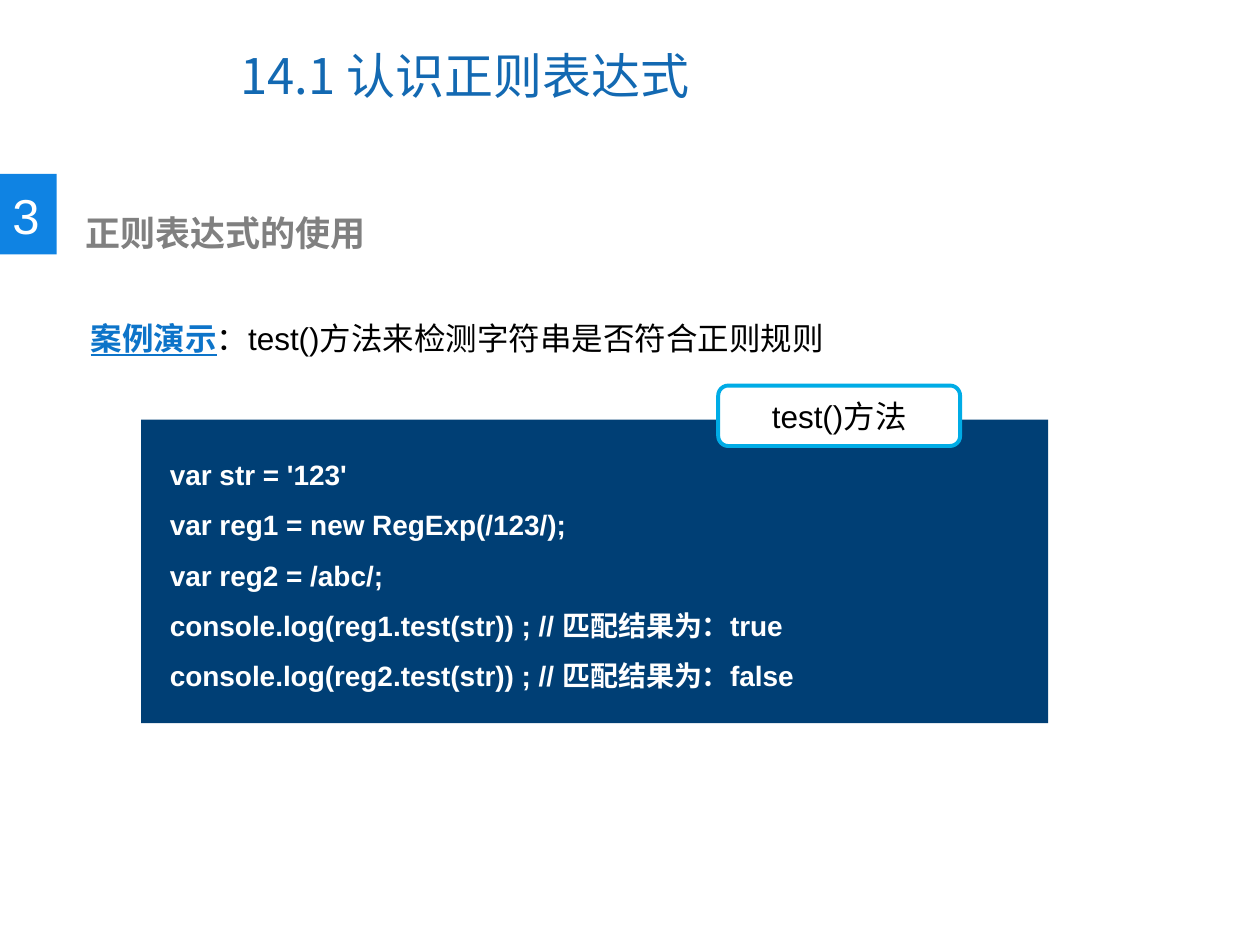
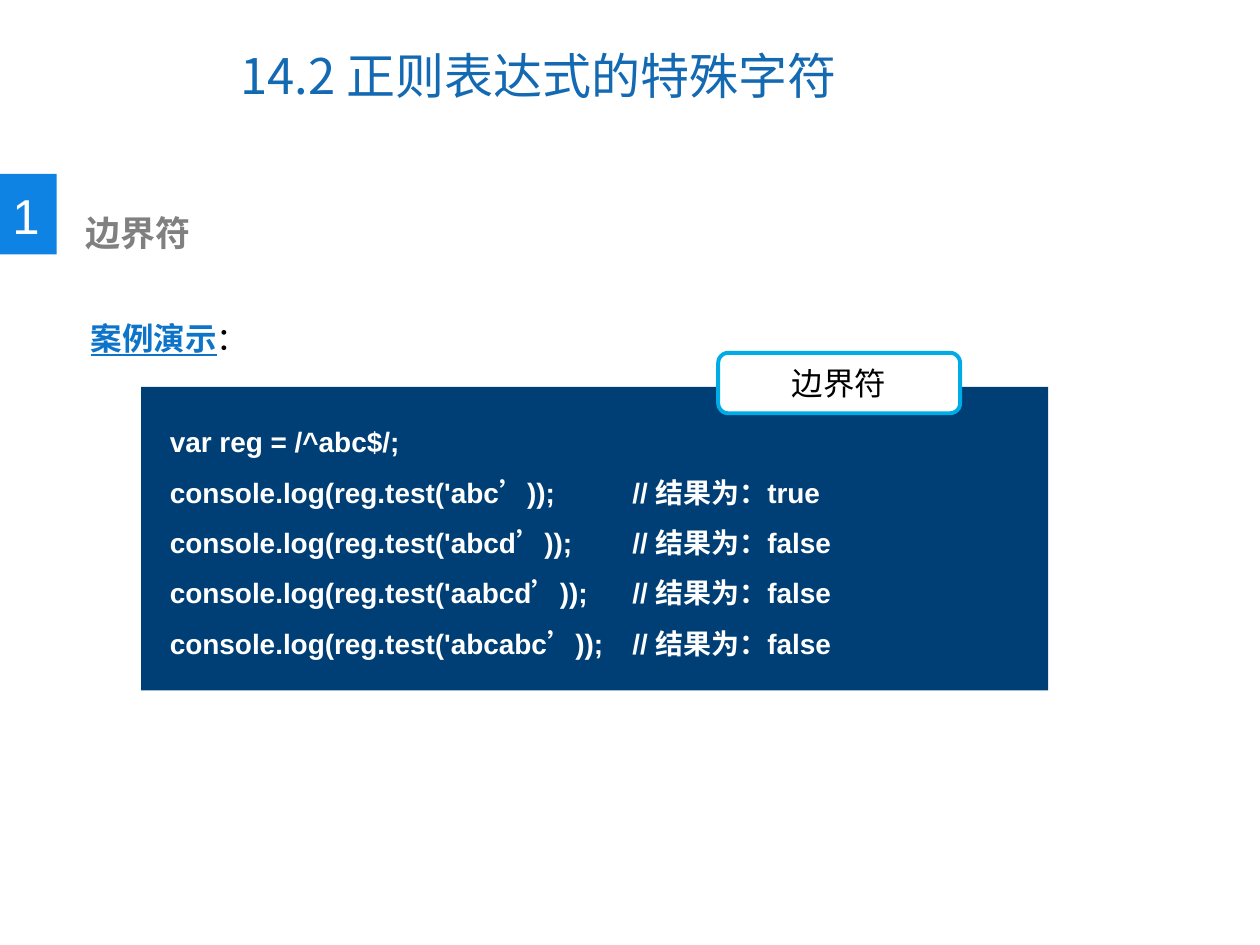
from dataclasses import dataclass

from lxml.etree import SubElement
from pptx import Presentation
from pptx.dml.color import RGBColor
from pptx.enum.shapes import MSO_SHAPE
from pptx.enum.text import MSO_ANCHOR, MSO_AUTO_SIZE, PP_ALIGN
from pptx.oxml.ns import qn
from pptx.util import Inches, Pt

COLOURS = {
    "title": "1369B2",
    "badge": "0F83E3",
    "heading": "808080",
    "link": "0D74C9",
    "panel": "003F75",
    "label_line": "00ACE6",
    "white": "FFFFFF",
    "black": "000000",
}
LATIN_FONT = "Arial"
CHINESE_FONT = "Noto Sans CJK SC"
COMMENT_TAB = 3.67


@dataclass(frozen=True)
class Box:
    left: float
    top: float
    width: float
    height: float

    def lengths(self) -> tuple:
        return tuple(Inches(v) for v in (self.left, self.top, self.width, self.height))


@dataclass(frozen=True)
class Span:
    text: str
    size: int
    colour: str
    bold: bool = False
    underline: bool = False
    font: str = LATIN_FONT


@dataclass(frozen=True)
class Lesson:
    chapter: str
    title: str
    number: str
    heading: str
    caption: str
    label: str
    panel_top: float
    code: tuple


LESSONS = (
    Lesson(
        "14.1 ", "认识正则表达式", "3", "正则表达式的使用",
        "：test()方法来检测字符串是否符合正则规则", "test()方法", 3.33,
        (
            "var str = '123'",
            "var reg1 = new RegExp(/123/);",
            "var reg2 = /abc/;",
            "console.log(reg1.test(str)) ; // 匹配结果为：true",
            "console.log(reg2.test(str)) ; // 匹配结果为：false",
        ),
    ),
    Lesson(
        "14.2 ", "正则表达式的特殊字符", "1", "边界符", "：", "边界符", 3.07,
        (
            "var reg = /^abc$/;",
            "console.log(reg.test('abc’));\t// 结果为：true",
            "console.log(reg.test('abcd’));\t// 结果为：false",
            "console.log(reg.test('aabcd’));\t// 结果为：false",
            "console.log(reg.test('abcabc’));\t// 结果为：false",
        ),
    ),
)


def colour_of(name: str) -> RGBColor:
    return RGBColor.from_string(COLOURS[name])


def add_spans(para, *spans: Span) -> None:
    for span in spans:
        run = para.add_run()
        run.text = span.text
        font = run.font
        font.name = span.font
        font.size = Pt(span.size)
        font.bold = span.bold
        font.underline = span.underline
        font.color.rgb = colour_of(span.colour)
        # Chinese characters take their own typeface
        properties = run._r.get_or_add_rPr()
        properties.set("lang", "zh-CN")
        SubElement(properties, qn("a:ea")).set("typeface", CHINESE_FONT)


def add_text(shapes, box: Box, lines: list, spacing: float = 1.0, wrap: bool = True):
    """Add a text box with one paragraph for each list of spans."""
    frame = shapes.add_textbox(*box.lengths()).text_frame
    frame.word_wrap = wrap
    for index, spans in enumerate(lines):
        para = frame.add_paragraph() if index else frame.paragraphs[0]
        para.line_spacing = spacing
        add_spans(para, *spans)
    return frame


def add_block(shapes, box: Box, fill: str, kind=MSO_SHAPE.RECTANGLE):
    block = shapes.add_shape(kind, *box.lengths())
    block.shadow.inherit = False
    block.fill.solid()
    block.fill.fore_color.rgb = colour_of(fill)
    block.line.fill.background()
    return block


def add_title(page, lesson: Lesson) -> None:
    title = page.shapes.title
    title.left, title.top, title.width, title.height = Box(1.81, 0.17, 5.16, 0.85).lengths()
    frame = title.text_frame
    frame.auto_size = MSO_AUTO_SIZE.NONE
    frame.vertical_anchor = MSO_ANCHOR.MIDDLE
    para = frame.paragraphs[0]
    para.alignment = PP_ALIGN.LEFT
    add_spans(
        para,
        Span(lesson.chapter, 28, "title", font=CHINESE_FONT),
        Span(lesson.title, 28, "title"),
    )


def add_heading(page, lesson: Lesson) -> None:
    badge = page.shapes.add_group_shape().shapes
    add_block(badge, Box(0, 1.38, 0.45, 0.64), "badge")
    add_text(badge, Box(0, 1.42, 0.42, 0.57), [[Span(lesson.number, 28, "white")]], wrap=False)
    heading = Span(lesson.heading, 20, "heading", bold=True)
    add_text(page.shapes, Box(0.58, 1.63, 5.03, 0.44), [[heading]])


def add_code(page, lesson: Lesson) -> None:
    top = lesson.panel_top
    panel = page.shapes.add_group_shape().shapes
    add_block(panel, Box(1.12, top, 7.2, 2.41), "panel")
    lines = [[Span(line, 16, "white", bold=True)] for line in lesson.code]
    frame = add_text(panel, Box(1.25, top + 0.12, 7.07, 2.07), lines, spacing=1.5)
    # Comments after a tab share one column
    for para in frame.paragraphs:
        tab_list = SubElement(para._p.get_or_add_pPr(), qn("a:tabLst"))
        tab = SubElement(tab_list, qn("a:tab"))
        tab.set("pos", str(Inches(COMMENT_TAB)))
        tab.set("algn", "l")


def add_label(page, lesson: Lesson) -> None:
    box = Box(5.7, lesson.panel_top - 0.27, 1.92, 0.48)
    label = add_block(page.shapes, box, "white", MSO_SHAPE.ROUNDED_RECTANGLE)
    label.line.color.rgb = colour_of("label_line")
    label.line.width = Pt(2.25)
    para = label.text_frame.paragraphs[0]
    para.alignment = PP_ALIGN.CENTER
    add_spans(para, Span(lesson.label, 18, "black"))


def add_lesson(deck, lesson: Lesson) -> None:
    page = deck.slides.add_slide(deck.slide_layouts[5])
    add_title(page, lesson)
    add_heading(page, lesson)
    caption = [
        Span("案例演示", 18, "link", bold=True, underline=True),
        Span(lesson.caption, 18, "black"),
    ]
    add_text(page.shapes, Box(0.62, 2.18, 8.65, 0.71), [caption], spacing=2.0)
    add_code(page, lesson)
    add_label(page, lesson)


def main() -> None:
    deck = Presentation()
    deck.slide_width, deck.slide_height = Inches(10), Inches(7.5)
    for lesson in LESSONS:
        add_lesson(deck, lesson)
    deck.save("out.pptx")


if __name__ == "__main__":
    main()
